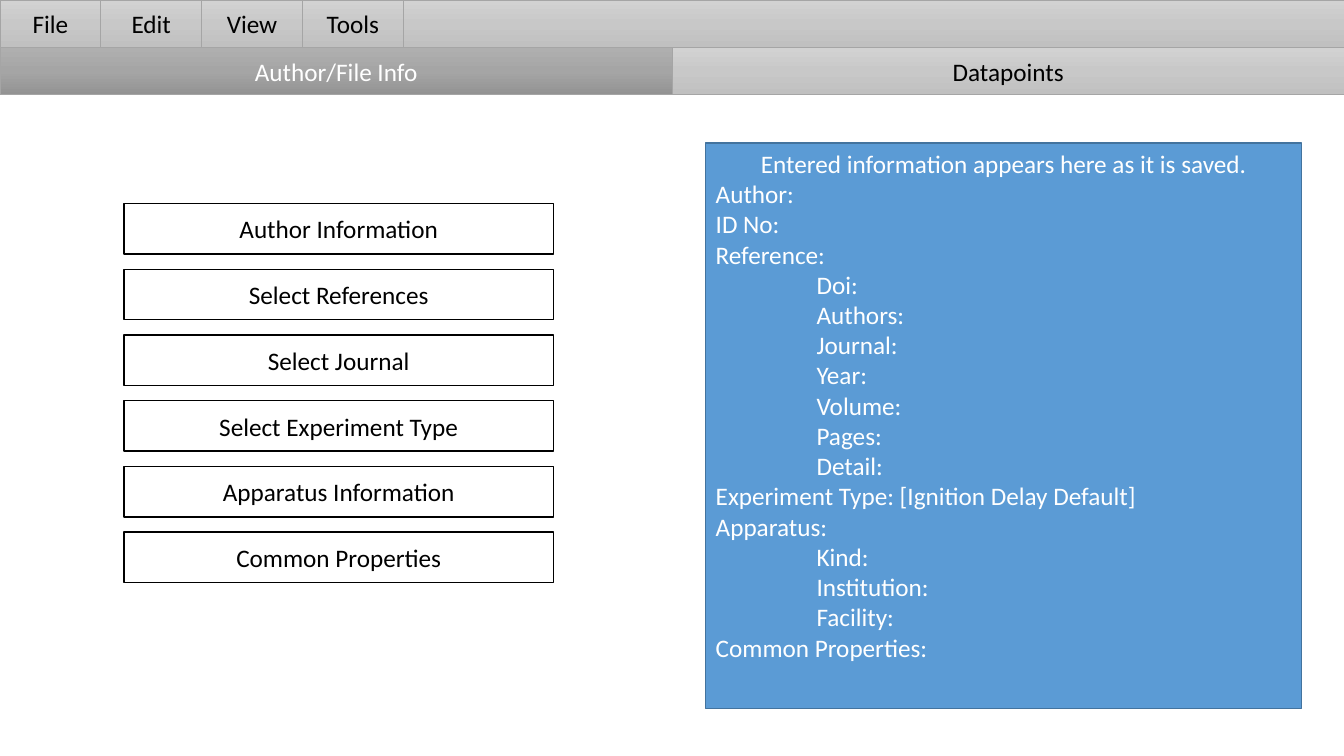
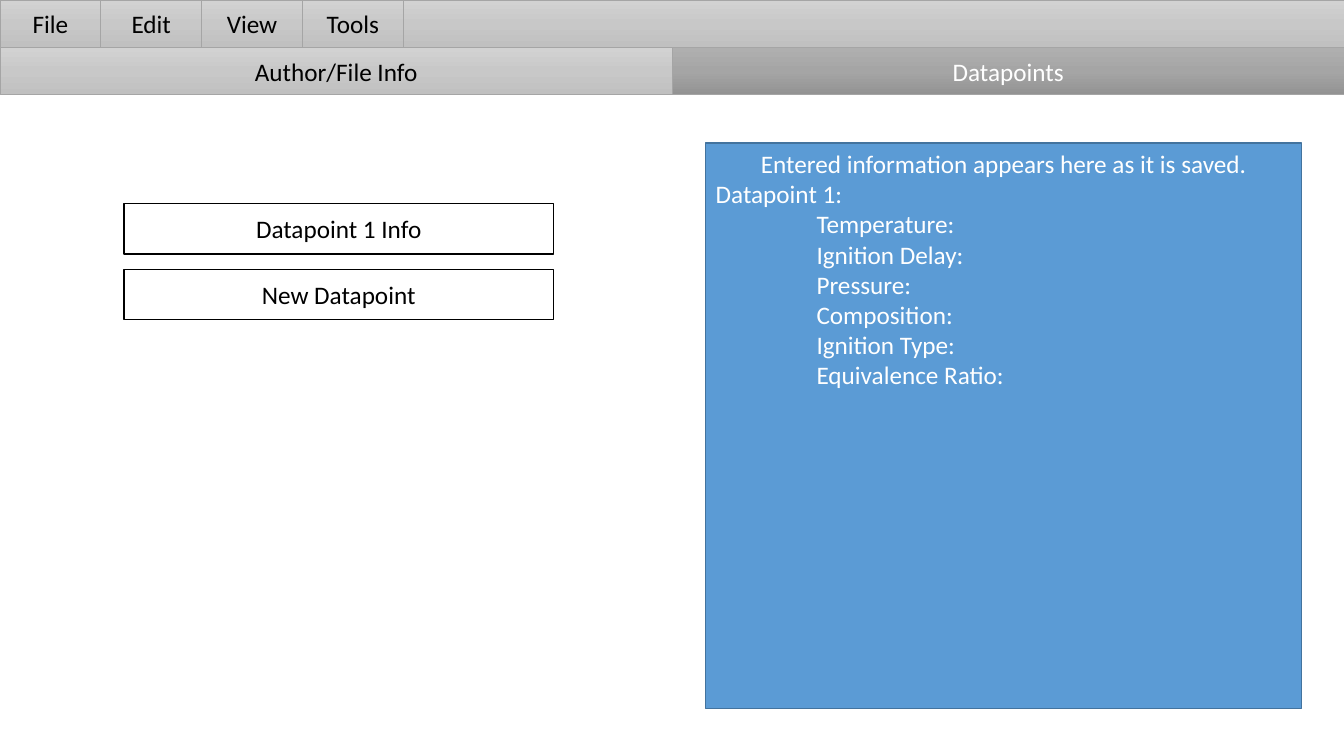
from dataclasses import dataclass

from lxml.etree import SubElement
from pptx import Presentation
from pptx.dml.color import RGBColor
from pptx.enum.shapes import MSO_SHAPE
from pptx.enum.text import MSO_ANCHOR, PP_ALIGN
from pptx.oxml.ns import qn
from pptx.util import Inches, Pt


@dataclass(frozen=True)
class Theme:
    font: str = "Calibri"
    size: int = 18
    dark: str = "000000"
    light: str = "FFFFFF"
    bar_line: str = "A5A5A5"
    bar: tuple = ("D2D2D2", "C8C8C8", "C0C0C0")
    bar_active: tuple = ("AFAFAF", "A5A5A5", "939393")
    panel: str = "5B9BD5"
    panel_line: str = "43739E"


THEME = Theme()
SLIDE_W, SLIDE_H = 13.33, 7.5
BAR_H = 0.47
MENU_W = 1
TAB_W = 6.67
BUTTON_TOP, BUTTON_LAST = 2.02, 5.28
BUTTON_STEP = (BUTTON_LAST - BUTTON_TOP) / 5

MENUS = ["File", "Edit", "View", "Tools"]
TABS = ["Author/File Info", "Datapoints"]
PANEL_HINT = "Entered information appears here as it is saved."

# Each screen: its buttons, then panel fields as (label, sub-fields)
SCREENS = [
    (["Author Information", "Select References", "Select Journal",
      "Select Experiment Type", "Apparatus Information", "Common Properties"],
     [("Author:", []),
      ("ID No:", []),
      ("Reference:", ["Doi:", "Authors:", "Journal:", "Year:", "Volume:",
                      "Pages:", "Detail:"]),
      ("Experiment Type: [Ignition Delay Default]", []),
      ("Apparatus:", ["Kind:", "Institution:", "Facility:"]),
      ("Common Properties:", [])]),
    (["Datapoint 1 Info", "New Datapoint"],
     [("Datapoint 1:", ["Temperature:", "Ignition Delay:", "Pressure:",
                        "Composition:", "Ignition Type:",
                        "Equivalence Ratio:"])]),
]


def rgb(color):
    return RGBColor.from_string(color)


# Basic elements
def add_box(s, left, top, width, height, line, line_pt):
    sp = s.shapes.add_shape(MSO_SHAPE.RECTANGLE, Inches(left), Inches(top),
                            Inches(width), Inches(height))
    sp.shadow.inherit = False
    sp.line.color.rgb = rgb(line)
    sp.line.width = Pt(line_pt)
    return sp


def fill_solid(sp, color):
    sp.fill.solid()
    sp.fill.fore_color.rgb = rgb(color)


def fill_gradient(sp, colors):
    sp.fill.gradient()
    sp.fill.gradient_angle = 270  # counter-clockwise: runs top to bottom
    stops = sp._element.spPr.find(qn("a:gradFill")).find(qn("a:gsLst"))
    for stop in list(stops):
        stops.remove(stop)
    for i, color in enumerate(colors):
        stop = SubElement(stops, qn("a:gs"), pos=str(i * 50000))
        SubElement(stop, qn("a:srgbClr"), val=color)


def set_text(sp, text, color, anchor=MSO_ANCHOR.MIDDLE):
    tf = sp.text_frame
    tf.word_wrap = True
    tf.vertical_anchor = anchor
    tf.text = text
    for p in tf.paragraphs:
        p.alignment = PP_ALIGN.CENTER
        for r in p.runs:
            r.font.name = THEME.font
            r.font.size = Pt(THEME.size)
            r.font.color.rgb = rgb(color)
    return tf


# Parts of the window
def add_bar_cell(s, left, top, width, text="", active=False):
    sp = add_box(s, left, top, width, BAR_H, THEME.bar_line, 0.5)
    fill_gradient(sp, THEME.bar_active if active else THEME.bar)
    if text:
        set_text(sp, text, THEME.light if active else THEME.dark)


def add_tabs(s, active):
    for i in reversed(range(len(TABS))):
        left = i * TAB_W
        add_bar_cell(s, left, BAR_H, min(TAB_W, SLIDE_W - left), TABS[i],
                     i == active)


def add_menu(s):
    for i, name in enumerate(MENUS):
        add_bar_cell(s, i * MENU_W, 0, MENU_W, name)
    used = len(MENUS) * MENU_W
    add_bar_cell(s, used, 0, SLIDE_W - used)


def add_buttons(s, labels):
    for i, label in enumerate(labels):
        sp = add_box(s, 1.23, BUTTON_TOP + i * BUTTON_STEP, 4.26, 0.5,
                     THEME.dark, 1)
        fill_solid(sp, THEME.light)
        set_text(sp, label, THEME.dark)


def add_panel(s, fields):
    lines = []
    for label, details in fields:
        lines.append((label, 0))
        lines += [(detail, 1) for detail in details]
    sp = add_box(s, 7, 1.42, 5.91, 5.61, THEME.panel_line, 1)
    fill_solid(sp, THEME.panel)
    text = "\n".join([PANEL_HINT] + [label for label, _ in lines])
    tf = set_text(sp, text, THEME.light, MSO_ANCHOR.TOP)
    for p, (_, indent) in zip(tf.paragraphs[1:], lines):
        p.alignment = PP_ALIGN.LEFT
        p._p.get_or_add_pPr().set("marL", str(Inches(indent)))


def main():
    prs = Presentation()
    prs.slide_width, prs.slide_height = Inches(SLIDE_W), Inches(SLIDE_H)
    for active, (buttons, fields) in enumerate(SCREENS):
        s = prs.slides.add_slide(prs.slide_layouts[6])
        add_tabs(s, active)
        add_buttons(s, buttons)
        add_panel(s, fields)
        add_menu(s)
    prs.save("out.pptx")


main()
